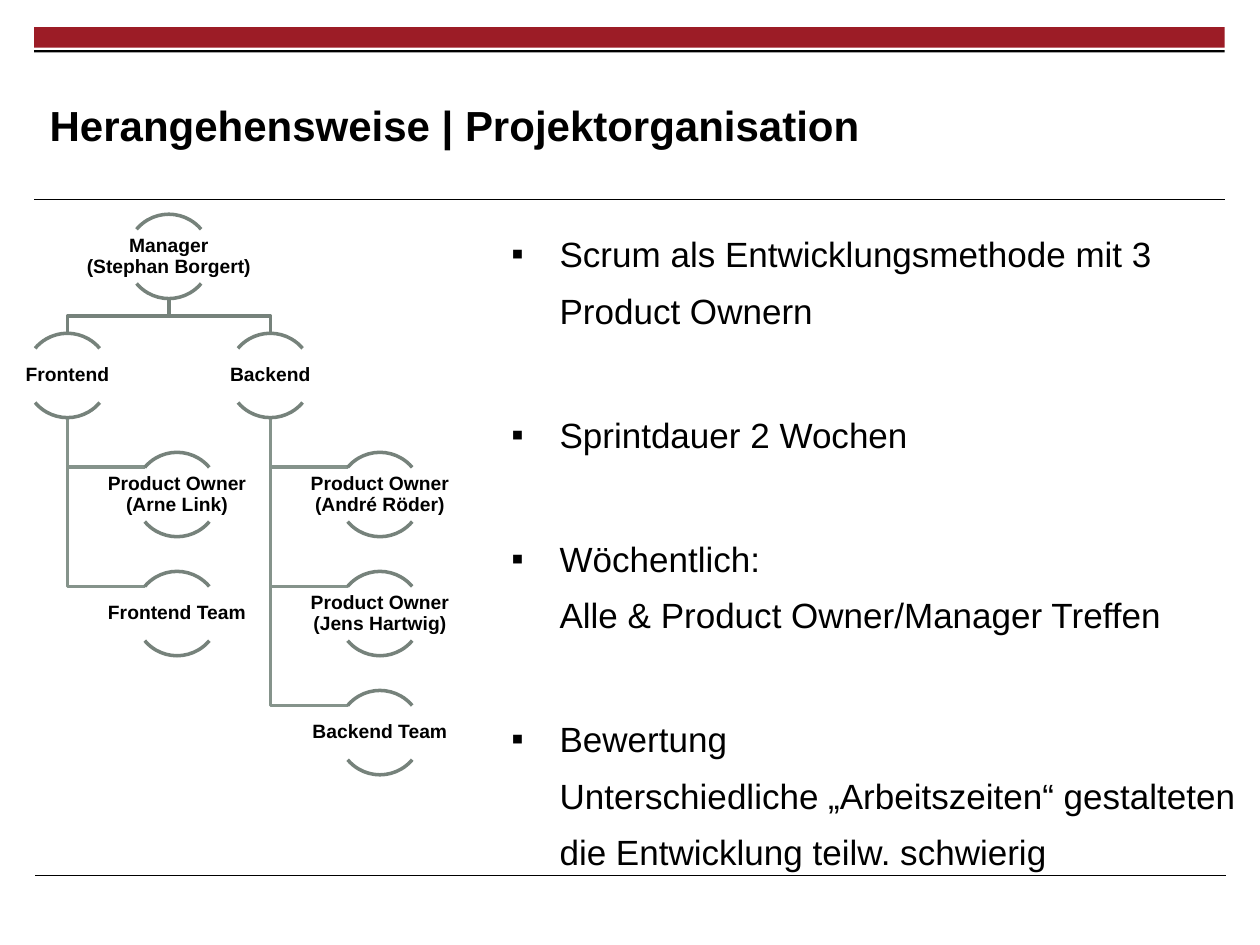
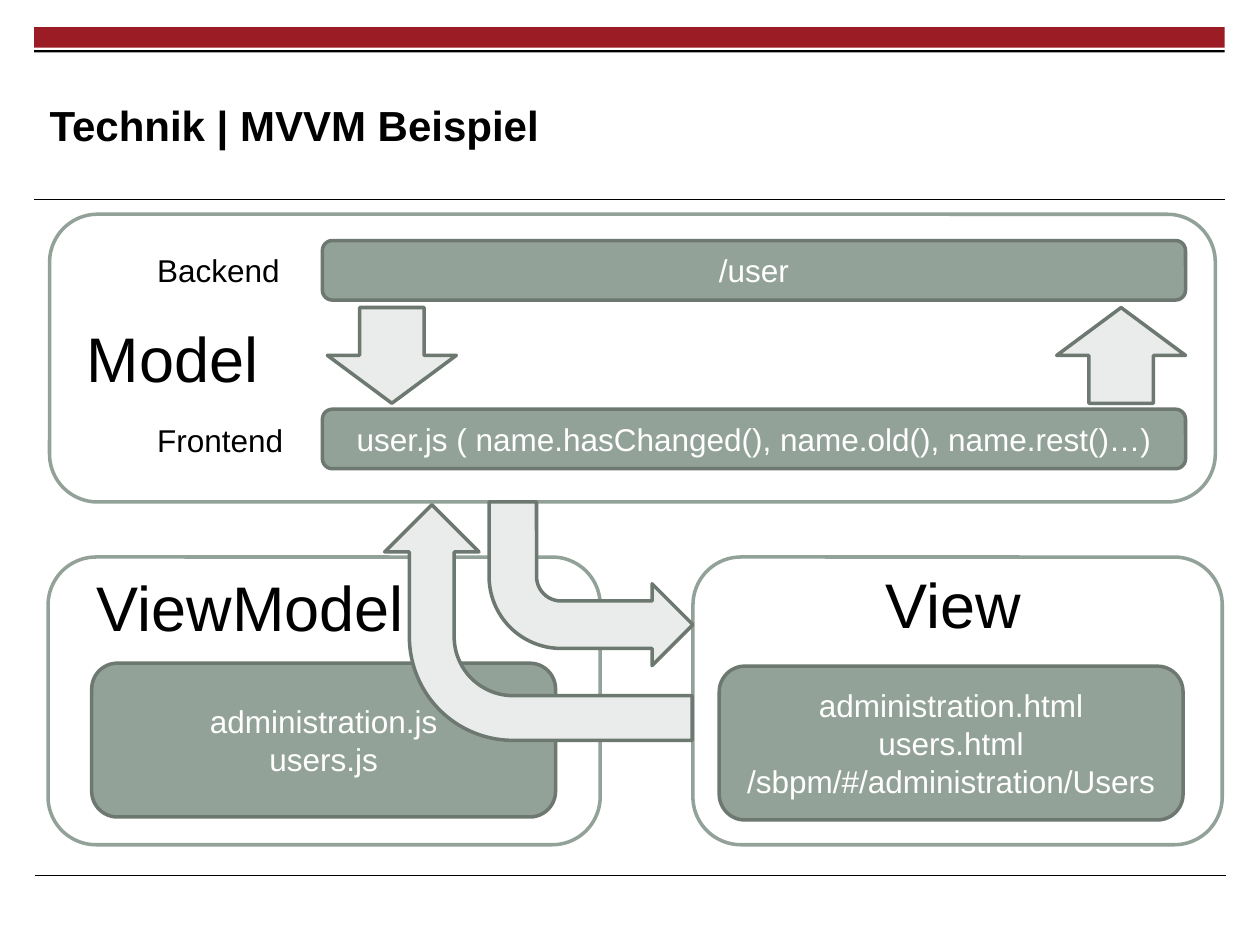
import dataclasses

import lxml.etree
import pptx
import pptx.dml.color
import pptx.enum.shapes
import pptx.enum.text
import pptx.oxml.ns
import pptx.util

Cm = pptx.util.Cm
Pt = pptx.util.Pt
RGB = pptx.dml.color.RGBColor
SHAPE = pptx.enum.shapes.MSO_SHAPE
ALIGN = pptx.enum.text.PP_ALIGN
ANCHOR = pptx.enum.text.MSO_ANCHOR
AUTO_SIZE = pptx.enum.text.MSO_AUTO_SIZE


@dataclasses.dataclass(frozen=True)
class Theme:
    font: str = "Arial"
    band: RGB = RGB(0x9C, 0x1C, 0x26)
    ink: RGB = RGB(0, 0, 0)
    white: RGB = RGB(255, 255, 255)
    sage: RGB = RGB(0x93, 0xA2, 0x99)
    sage_edge: RGB = RGB(0x6D, 0x78, 0x71)
    arrow: RGB = RGB(0xE9, 0xEC, 0xEB)
    node: RGB = RGB(0x76, 0x82, 0x7B)
    branch: RGB = RGB(0x85, 0x93, 0x8B)
    rule: Pt = Pt(0.6)
    outline: Pt = Pt(2)
    title: Pt = Pt(24)
    body: Pt = Pt(20)
    code: Pt = Pt(18)
    layer: Pt = Pt(36)
    label: Pt = Pt(11)


THEME = Theme()

# Organisation chart, in centimetres
NODE_SIZE = 1.7
ROW_PITCH = 2.4
CHART_TOP = 4.32
LEAF_SHIFT = 2.21
BRANCH_ENTRY = (0.65, 0.3)
LABEL_SIZE = (3.38, 1.08)
UPPER_ARC, LOWER_ARC = (132, 192), (24, 84)

TEAMS = [
    ("Frontend", 1.36, 2, ["Product Owner (Arne Link)", "Frontend Team"]),
    ("Backend", 5.45, 2, ["Product Owner (André Röder)",
                          "Product Owner (Jens Hartwig)", "Backend Team"]),
]
METHOD_POINTS = [
    "Scrum als Entwicklungsmethode mit 3 Product Ownern",
    "Sprintdauer 2 Wochen",
    "Wöchentlich:\nAlle & Product Owner/Manager Treffen",
    "Bewertung\nUnterschiedliche „Arbeitszeiten“ gestalteten "
    "die Entwicklung teilw. schwierig",
]


def cm_all(lengths):
    return [Cm(length) for length in lengths]


def write(paragraph, text, size, color, bold=False):
    """Add text run by run, with a line break at each newline."""
    for index, line in enumerate(text.split("\n")):
        if index:
            paragraph.add_line_break()
        run = paragraph.add_run()
        run.text = line
        run.font.name = THEME.font
        run.font.size = size
        run.font.bold = bold
        run.font.color.rgb = color


def set_insets(frame, horizontal, vertical):
    frame.margin_left = frame.margin_right = Cm(horizontal)
    frame.margin_top = frame.margin_bottom = Cm(vertical)


def paint(shape, fill=None, line=None):
    shape.shadow.inherit = False
    if fill is None:
        shape.fill.background()
    else:
        shape.fill.solid()
        shape.fill.fore_color.rgb = fill
    if line is None:
        shape.line.fill.background()
    else:
        shape.line.color.rgb = line
        shape.line.width = THEME.outline


def add_preset(slide, kind, box, fill=None, line=None, adjustments=()):
    shape = slide.shapes.add_shape(kind, *cm_all(box))
    for index, value in enumerate(adjustments):
        shape.adjustments[index] = value
    paint(shape, fill, line)
    return shape


def add_rule(slide, left, y, right):
    rule = slide.shapes.add_connector(
        pptx.enum.shapes.MSO_CONNECTOR.STRAIGHT, *cm_all((left, y, right, y)))
    rule.line.color.rgb = THEME.ink
    rule.line.width = THEME.rule
    lxml.etree.SubElement(rule.element.spPr, pptx.oxml.ns.qn("a:effectLst"))
    return rule


def add_frame_to_master(slide, master):
    """Draw the band and rules once and move them to the master."""
    frame = [
        add_preset(slide, SHAPE.RECTANGLE, (0.69, 0.55, 24, 0.41), THEME.band),
        add_rule(slide, 0.69, 4.03, 24.69),
        add_preset(slide, SHAPE.RECTANGLE, (0.69, 1.01, 24, 0.05), THEME.ink),
        add_rule(slide, 0.71, 17.65, 24.71),
    ]
    tree = master.shapes.element
    next_id = max(shape.shape_id for shape in master.shapes) + 1
    for shape_id, part in enumerate(frame, next_id):
        part.element.xpath("./*/p:cNvPr")[0].set("id", str(shape_id))
        tree.append(part.element)


def place(placeholder, box):
    (placeholder.left, placeholder.top,
     placeholder.width, placeholder.height) = cm_all(box)
    frame = placeholder.text_frame
    frame.auto_size = AUTO_SIZE.NONE
    frame.word_wrap = True
    return frame


def set_title(slide, text):
    frame = place(slide.shapes.title, (1, 1.35, 18.44, 2.34))
    frame.vertical_anchor = ANCHOR.MIDDLE
    set_insets(frame, 0, 0)
    paragraph = frame.paragraphs[0]
    paragraph.alignment = ALIGN.LEFT
    write(paragraph, text, THEME.title, THEME.ink, bold=True)


def add_bullet(paragraph, indent):
    properties = paragraph._p.get_or_add_pPr()
    properties.set("marL", str(Cm(indent)))
    properties.set("indent", str(-Cm(indent)))
    bullet = lxml.etree.SubElement(properties, pptx.oxml.ns.qn("a:buChar"))
    bullet.set("char", "▪")


def fill_bullets(placeholder, points):
    frame = place(placeholder, (10.31, 4.27, 14.61, 13.26))
    frame.vertical_anchor = ANCHOR.TOP
    set_insets(frame, 0, 0.13)
    for index, point in enumerate(points):
        paragraph = frame.add_paragraph() if index else frame.paragraphs[0]
        paragraph.line_spacing = 1.35
        paragraph.space_before = Pt(2)
        paragraph.space_after = Pt(36.3)
        add_bullet(paragraph, 0.97)
        write(paragraph, point, THEME.body, THEME.ink)


def add_branch(slide, points, color):
    start, *rest = [tuple(cm_all(point)) for point in points]
    builder = slide.shapes.build_freeform(*start)
    builder.add_line_segments(rest, close=False)
    paint(builder.convert_to_shape(), line=color)


def row_top(row):
    return CHART_TOP + row * ROW_PITCH


def add_node(slide, text, center, row):
    """Draw a label between two arcs of one circle."""
    top = row_top(row)
    circle = (center - NODE_SIZE / 2, top, NODE_SIZE, NODE_SIZE)
    for arc in (UPPER_ARC, LOWER_ARC):
        add_preset(slide, SHAPE.ARC, circle, line=THEME.node, adjustments=arc)
    width, height = LABEL_SIZE
    label = slide.shapes.add_textbox(*cm_all(
        (center - width / 2, top + (NODE_SIZE - height) / 2, width, height)))
    frame = label.text_frame
    frame.word_wrap = True
    frame.vertical_anchor = ANCHOR.MIDDLE
    set_insets(frame, 0.03, 0.03)
    paragraph = frame.paragraphs[0]
    paragraph.alignment = ALIGN.CENTER
    paragraph.line_spacing = 0.9
    write(paragraph, text, THEME.label, THEME.ink, bold=True)


def add_organisation(slide):
    manager = sum(center for _, center, _, _ in TEAMS) / len(TEAMS)
    manager_bottom = row_top(0) + NODE_SIZE
    fork = (manager_bottom + row_top(1)) / 2
    entry_x, entry_y = BRANCH_ENTRY
    for _, center, first_row, members in TEAMS:
        for row in range(first_row, first_row + len(members)):
            entry = row_top(row) + entry_y
            add_branch(slide, [(center, row_top(1) + NODE_SIZE), (center, entry),
                               (center + LEAF_SHIFT - entry_x, entry)],
                       THEME.branch)
        add_branch(slide, [(manager, manager_bottom), (manager, fork),
                           (center, fork), (center, row_top(1))], THEME.node)
    add_node(slide, "Manager\n(Stephan Borgert)", manager, 0)
    for team, center, first_row, members in TEAMS:
        add_node(slide, team, center, 1)
        for row, member in enumerate(members, first_row):
            add_node(slide, member, center + LEAF_SHIFT, row)


def add_layer(slide, box):
    add_preset(slide, SHAPE.ROUNDED_RECTANGLE, box, line=THEME.sage)


def add_files(slide, box, *files):
    card = add_preset(slide, SHAPE.ROUNDED_RECTANGLE, box,
                      THEME.sage, THEME.sage_edge)
    frame = card.text_frame
    frame.word_wrap = True
    frame.vertical_anchor = ANCHOR.MIDDLE
    for index, file in enumerate(files):
        paragraph = frame.add_paragraph() if index else frame.paragraphs[0]
        paragraph.alignment = ALIGN.CENTER
        write(paragraph, file, THEME.code, THEME.white)


def add_caption(slide, text, box, size):
    frame = slide.shapes.add_textbox(*cm_all(box)).text_frame
    frame.word_wrap = True
    frame.auto_size = AUTO_SIZE.SHAPE_TO_FIT_TEXT
    write(frame.paragraphs[0], text, size, THEME.ink)


def add_flow(slide, kind, box, rotation=0, adjustments=()):
    arrow = add_preset(slide, kind, box, THEME.arrow, THEME.sage_edge, adjustments)
    arrow.rotation = rotation
    return arrow


def add_mvvm(slide):
    add_files(slide, (6.5, 4.85, 17.4, 1.2), "/user")
    add_files(slide, (6.5, 8.25, 17.4, 1.2),
              "user.js ( name.hasChanged(), name.old(), name.rest()…)")
    add_layer(slide, (1, 4.32, 23.5, 5.8))
    add_caption(slide, "Model", (1.5, 6.32, 4.4, 1.8), THEME.layer)
    add_flow(slide, SHAPE.DOWN_ARROW, (6.6, 6.2, 2.6, 1.93))
    add_flow(slide, SHAPE.DOWN_ARROW, (21.3, 6.2, 2.6, 1.93), rotation=180)

    add_layer(slide, (0.97, 11.23, 11.13, 5.8))
    add_layer(slide, (13.97, 11.23, 10.67, 5.8))
    add_caption(slide, "ViewModel", (1.7, 11.33, 6.75, 1.8), THEME.layer)
    add_caption(slide, "View", (17.6, 11.28, 3.3, 1.8), THEME.layer)
    add_files(slide, (14.5, 13.43, 9.35, 3.1), "administration.html",
              "users.html", "/sbpm/#/administration/Users")
    add_files(slide, (1.85, 13.37, 9.35, 3.1), "administration.js", "users.js")

    model_to_view = add_flow(slide, SHAPE.BENT_ARROW, (9.86, 10.12, 4.11, 3.3),
                             adjustments=(0.29, 0.25, 0.25, 0.44))
    model_to_view.element.spPr.get_or_add_xfrm().set("flipV", "1")
    add_flow(slide, SHAPE.BENT_ARROW, (8.48, 9.45, 4.75, 6.2), rotation=270,
             adjustments=(0.19, 0.2, 0.2, 0.44))

    for side, top in (("Backend", 4.93), ("Frontend", 8.36)):
        add_caption(slide, side, (2.92, top, 3.2, 1.02), THEME.code)


def main():
    deck = pptx.Presentation()
    deck.slide_width, deck.slide_height = Cm(25.4), Cm(19.05)

    organisation = deck.slides.add_slide(deck.slide_layouts[1])
    add_frame_to_master(organisation, deck.slide_master)
    set_title(organisation, "Herangehensweise | Projektorganisation")
    fill_bullets(organisation.placeholders[1], METHOD_POINTS)
    add_organisation(organisation)

    mvvm = deck.slides.add_slide(deck.slide_layouts[5])
    set_title(mvvm, "Technik | MVVM Beispiel")
    add_mvvm(mvvm)

    deck.save("out.pptx")


if __name__ == "__main__":
    main()
